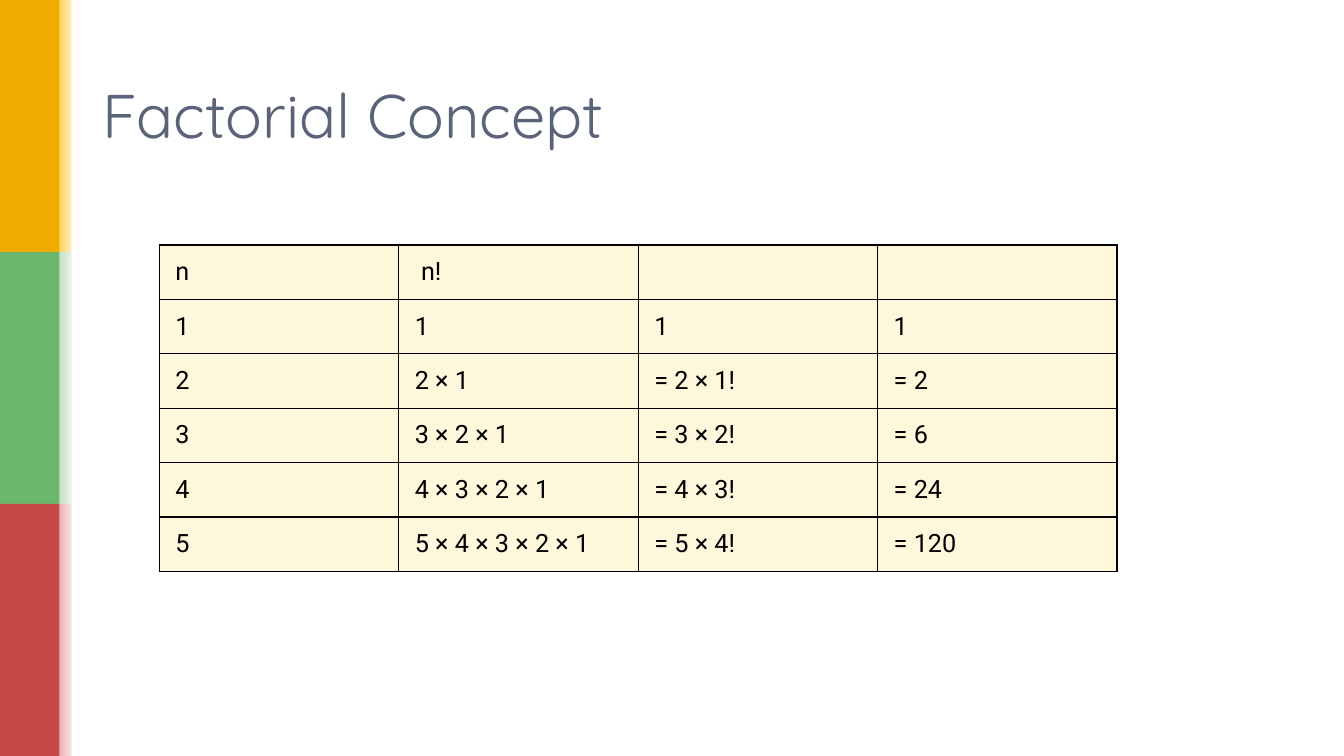
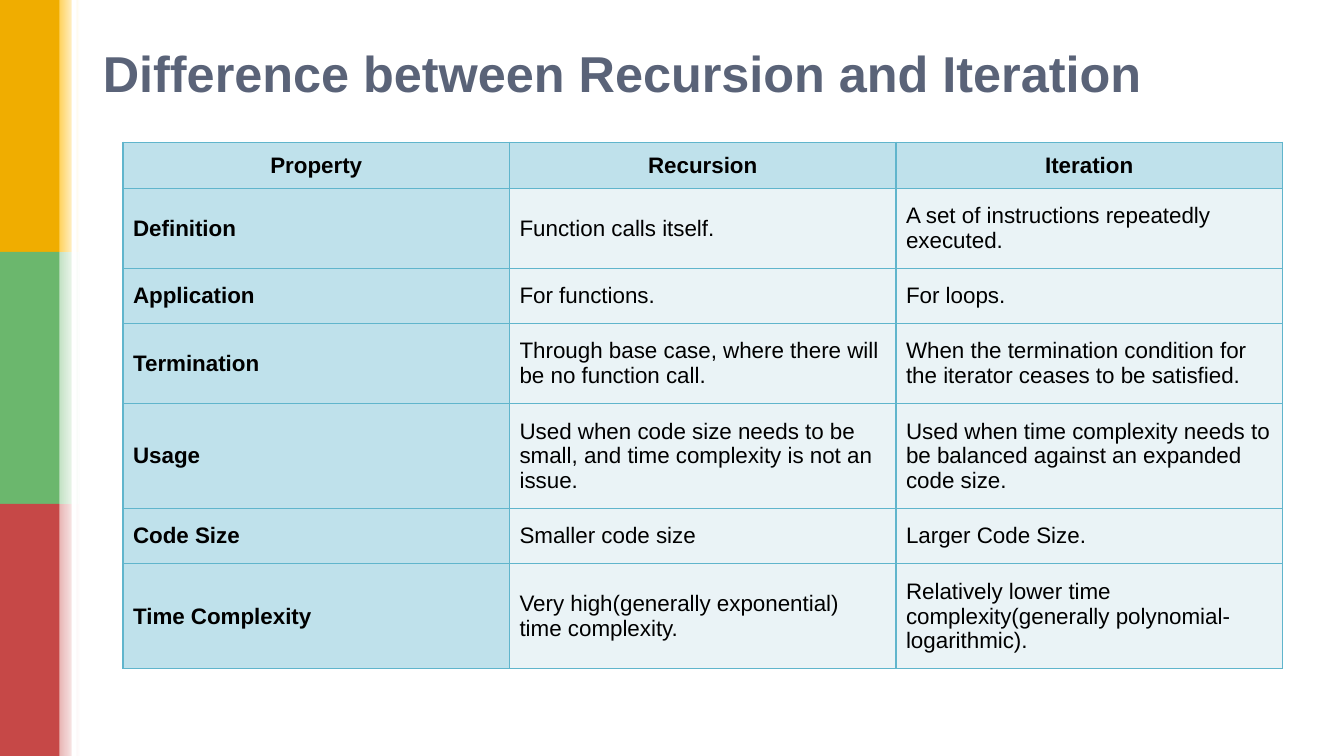
import pptx
import pptx.util
import pptx.dml.color
import pptx.enum.shapes
import pptx.enum.text
import pptx.oxml
import pptx.oxml.ns

Inches = pptx.util.Inches
Pt = pptx.util.Pt
ALIGN = pptx.enum.text.PP_ALIGN
MIDDLE = pptx.enum.text.MSO_ANCHOR.MIDDLE

INK, SLATE, WHITE = "000000", "5A6378", "FFFFFF"
CREAM, SKY, MIST, TEAL = "FFF7DB", "BFE1EB", "EAF3F6", "60B5CC"
BANDS = [("F0AD00", "FFD25D"), ("6BB76D", "C4E2C5"), ("C64847", "E8B6B5")]

POWERS = [
    ["n", " n!", "", ""],
    ["1", "1", "1", "1"],
    ["2", "2 × 1", "= 2 × 1!", "= 2"],
    ["3", "3 × 2 × 1", "= 3 × 2!", "= 6"],
    ["4", "4 × 3 × 2 × 1", "= 4 × 3!", "= 24"],
    ["5", "5 × 4 × 3 × 2 × 1", "= 5 × 4!", "= 120"],
]
TRAITS = [
    ["Property", "Recursion", "Iteration"],
    ["Definition", "Function calls itself.",
     "A set of instructions repeatedly executed."],
    ["Application", "For functions.", "For loops."],
    ["Termination", "Through base case, where there will be no function call.",
     "When the termination condition for the iterator ceases to be satisfied."],
    ["Usage",
     "Used when code size needs to be small, and time complexity is not an issue.",
     "Used when time complexity needs to be balanced against an expanded code size."],
    ["Code Size", "Smaller code size", "Larger Code Size."],
    ["Time Complexity", "Very high(generally exponential) time complexity.",
     "Relatively lower time complexity(generally polynomial-logarithmic)."],
]


def color(code):
    """Turn a hex string into a colour."""
    return pptx.dml.color.RGBColor.from_string(code)


def style(para, face, size, code, bold=False, align=ALIGN.LEFT):
    """Set the font and alignment of a paragraph."""
    para.alignment = align
    font = para.font
    font.name, font.size, font.bold = face, Pt(size), bold
    font.color.rgb = color(code)


def block(group, box, code, fade=None):
    """Add a plain rectangle, fading to white if a fade colour is given."""
    kind = pptx.enum.shapes.MSO_SHAPE.RECTANGLE
    shape = group.shapes.add_shape(kind, *map(Inches, box))
    shape.shadow.inherit = False
    shape.line.fill.background()
    if fade:
        shape.fill.gradient()
        shape.fill.gradient_angle = 0
        for stop, tone in zip(shape.fill.gradient_stops, (code, fade)):
            stop.color.rgb = color(tone)
    else:
        shape.fill.solid()
        shape.fill.fore_color.rgb = color(code)


def stripes(slide, layout, box):
    """Draw the side bands and hand them to the shared layout."""
    left, top, width, height = box
    group = slide.shapes.add_group_shape()
    step = height / len(BANDS)
    for i, (code, _) in enumerate(BANDS):
        block(group, (left, top + i * step, width, step), code)
    for i, (_, pale) in enumerate(BANDS):
        block(group, (left + width - 0.03, top + i * step, 0.2, step), pale, WHITE)
    block(group, (left + width + 0.09, top, 0.05, height), WHITE)
    layout.shapes.element.insert(2, group.element)


def title(slide, box, text, face, size, bold=False):
    """Place and format the slide title."""
    shape = slide.shapes.title
    shape.left, shape.top, shape.width, shape.height = map(Inches, box)
    frame = shape.text_frame
    frame.text = text
    frame.word_wrap = True
    frame.auto_size = pptx.enum.text.MSO_AUTO_SIZE.NONE
    frame.vertical_anchor = MIDDLE
    style(frame.paragraphs[0], face, size, SLATE, bold)


def border(cell, code):
    """Draw a thin line on all four sides of a cell."""
    props = cell._tc.get_or_add_tcPr()
    for side in "LRTB":
        props.append(pptx.oxml.parse_xml(
            f'<a:ln{side} {pptx.oxml.ns.nsdecls("a")} w="12700"><a:solidFill>'
            f'<a:srgbClr val="{code}"/></a:solidFill></a:ln{side}>'))


def grid(slide, box, data, tall, line, look):
    """Add a table whose cells are formatted by look(row, column)."""
    left, top, width = box
    spot = map(Inches, (left, top, width, sum(tall)))
    table = slide.shapes.add_table(len(data), len(data[0]), *spot).table
    table.first_row = table.horz_banding = False
    for r, texts in enumerate(data):
        table.rows[r].height = Inches(tall[r])
        for c, text in enumerate(texts):
            cell = table.cell(r, c)
            fill, pads, font = look(r, c)
            cell.text = text
            cell.vertical_anchor = MIDDLE
            (cell.margin_left, cell.margin_top,
             cell.margin_right, cell.margin_bottom) = map(Inches, pads)
            border(cell, line)
            cell.fill.solid()
            cell.fill.fore_color.rgb = color(fill)
            style(cell.text_frame.paragraphs[0], *font)


def plain(r, c):
    """Give the look of a factorial cell."""
    return CREAM, (0.16, 0.12, 0.09, 0.12), ("Roboto", 18, INK)


def headed(r, c):
    """Give the look of a comparison cell, with headings on two sides."""
    head = r == 0 or c == 0
    pad = 0.1 if r == 0 else 0.15
    align = ALIGN.CENTER if r == 0 else ALIGN.LEFT
    return (SKY if head else MIST, (0.1, pad, 0.1, pad),
            ("Arial", 16, INK, head, align))


def main():
    """Build and save the slides."""
    deck = pptx.Presentation()
    deck.slide_width, deck.slide_height = Inches(13.33), Inches(7.5)
    layout = deck.slide_layouts[5]

    first = deck.slides.add_slide(layout)
    stripes(first, layout, (0, 0, 0.62, 7.5))
    title(first, (0.92, 0.4, 11.5, 1.45), "Factorial Concept", "Quicksand", 44)
    grid(first, (1.58, 2.43, 9.5), POWERS, [0.54] * 6, INK, plain)

    second = deck.slides.add_slide(layout)
    title(second, (0.92, 0.36, 11.5, 0.72),
          "Difference between Recursion and Iteration", "Arial", 36, True)
    tall = [0.46, 0.78, 0.54, 0.78, 1.03, 0.54, 1.04]
    grid(second, (1.22, 1.41, 11.5), TRAITS, tall, TEAL, headed)
    deck.save("out.pptx")


if __name__ == "__main__":
    main()
